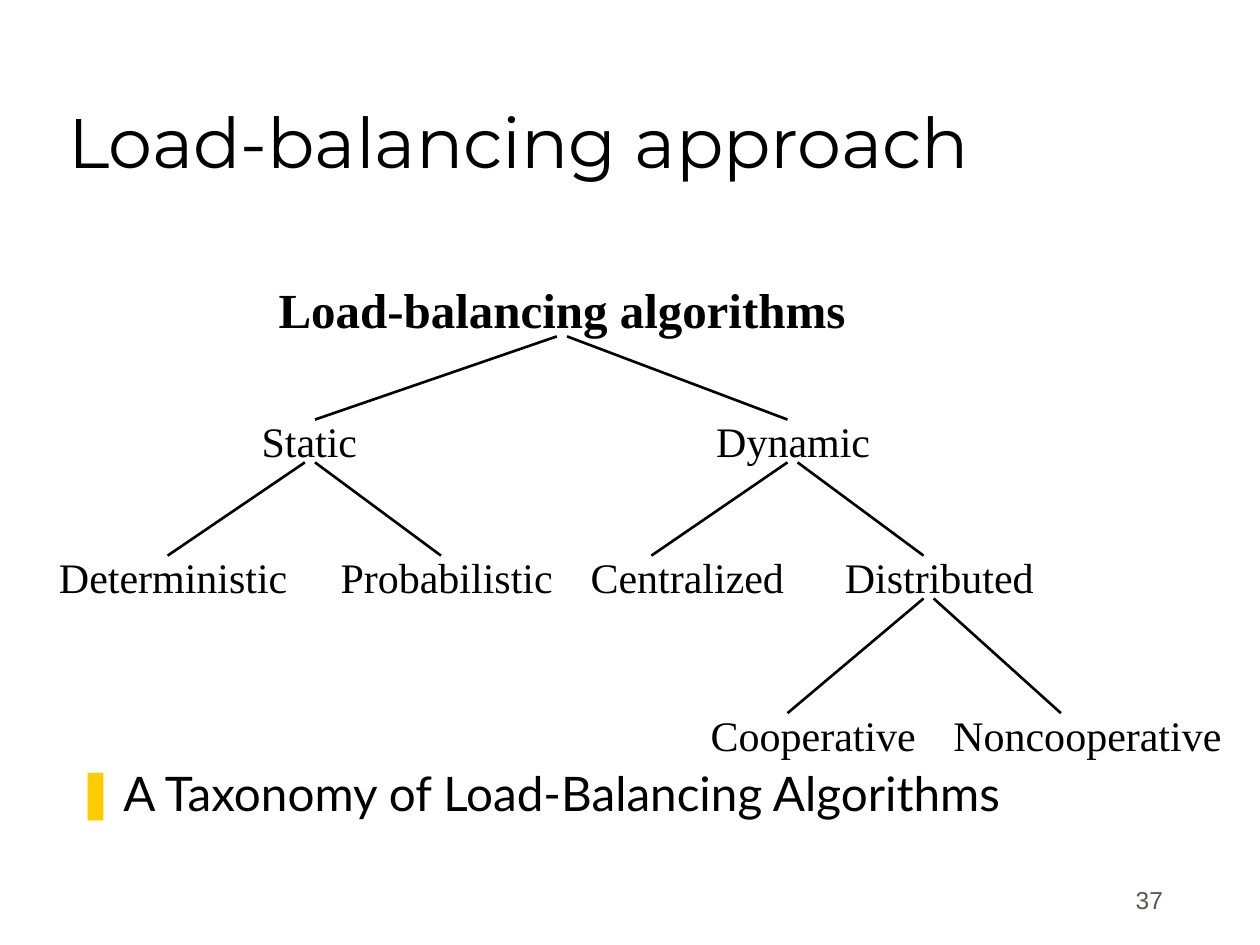
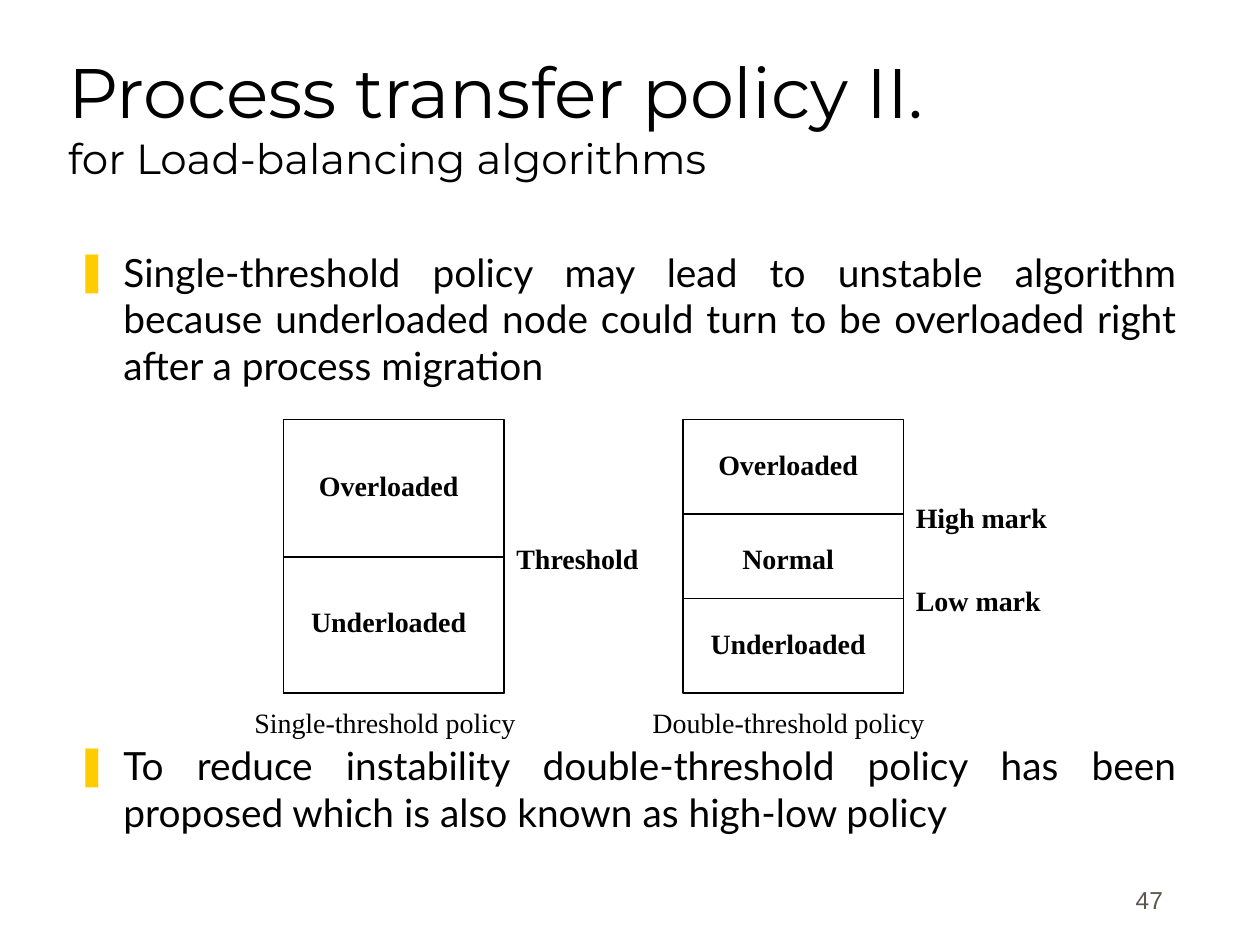
from lxml import etree
from pptx import Presentation
from pptx.dml.color import RGBColor
from pptx.enum import shapes as kinds, text as t
from pptx.oxml import ns
from pptx.util import Inches, Pt

COLORS = {"text": "000000", "bullet": "FFCC00", "number": "5E574E"}
FONTS = {"title": "Montserrat", "body": "Lato", "diagram": "Times New Roman", "number": "Arial"}
TITLE_BOX = (0.44, 0.25, 8.5, 1.25)
NUMBER_BOX = (7.36, 6.81, 2.08, 0.5)
BULLET_INDENT = 0.38

TAXONOMY = {
    "title": [("Load-balancing approach", 40)],
    "number": "37",
    "body": ["A Taxonomy of Load-Balancing Algorithms"],
    "body_box": (0.5, 2.06, 8.94, 4.56),
    "body_size": 27.2,
}
ROOT = ("Load-balancing algorithms", 2, 2.17, 4.92, 0.57)
# name, left, top, width, x where its branch arrives
NODES = [
    ("Static", 1.58, 3.25, 1.75, 2.5),
    ("Dynamic", 5.42, 3.25, 1.75, 6.25),
    ("Deterministic", 0.25, 4.33, 2.25, 1.33),
    ("Probabilistic", 2.42, 4.33, 2.25, 3.5),
    ("Centralized", 4.33, 4.33, 2.25, 5.17),
    ("Distributed", 6.33, 4.33, 2.25, 7.33),
    ("Cooperative", 5.33, 5.58, 2.25, 6.25),
    ("Noncooperative", 7.42, 5.58, 2.42, 8.42),
]
# x and y of the fork, left child, right child
FORKS = [
    (4.42, 2.67, "Static", "Dynamic"),
    (2.42, 3.67, "Deterministic", "Probabilistic"),
    (6.25, 3.67, "Centralized", "Distributed"),
    (7.33, 4.75, "Cooperative", "Noncooperative"),
]
FORK_GAP = 0.08
NODE_HEIGHT = 0.5

TRANSFER = {
    "title": [("Process transfer policy II.", 40), ("for Load-balancing algorithms", 24)],
    "number": "47",
    "body": [
        "Single-threshold policy may lead to unstable algorithm because underloaded node "
        "could turn to be overloaded right after a process migration",
        "To reduce instability double-threshold policy has been proposed which is also "
        "known as high-low policy",
    ],
    "body_box": (0.5, 1.92, 8.94, 4.71),
    "body_size": 22.2,
}
DIAGRAM_GAP = 202  # points between the two bullets
FRAME_TOP, FRAME_WIDTH, FRAME_HEIGHT = 3.33, 1.75, 2.17
LABEL_HEIGHT, STATE_WIDTH, MARK_WIDTH = 0.37, 1.67, 1.25
CAPTION_TOP = 5.55
POLICIES = [
    {
        "left": 2.25,
        "band": (4.42, 1.08),
        "states": [("Overloaded", 3.67), ("Underloaded", 4.75)],
        "marks": [("Threshold", 4.25)],
        "caption": ("Single-threshold policy", 1.92, 2.83),
    },
    {
        "left": 5.42,
        "band": (4.08, 0.67),
        "states": [("Overloaded", 3.5), ("Normal", 4.25), ("Underloaded", 4.92)],
        "marks": [("High mark", 3.92), ("Low mark", 4.58)],
        "caption": ("Double-threshold policy", 5.08, 2.92),
    },
]


def inches(box):
    return [Inches(length) for length in box]


def color(name):
    return RGBColor.from_string(COLORS[name])


def format_paragraph(paragraph, role, size, align, bold=False, color_name="text"):
    paragraph.alignment = align
    paragraph.space_before = Pt(0)
    for run in paragraph.runs:
        run.font.name = FONTS[role]
        run.font.size = Pt(size)
        run.font.bold = bold
        run.font.color.rgb = color(color_name)


def place(placeholder, box, anchor):
    placeholder.left, placeholder.top, placeholder.width, placeholder.height = inches(box)
    frame = placeholder.text_frame
    frame.auto_size = t.MSO_AUTO_SIZE.NONE
    frame.vertical_anchor = anchor
    return frame


def add_label(shapes, words, box, size, align=t.PP_ALIGN.CENTER, role="diagram", **style):
    frame = shapes.add_textbox(*inches(box)).text_frame
    frame.word_wrap = True
    frame.text = words
    format_paragraph(frame.paragraphs[0], role, size, align, **style)
    return frame


def add_bullet(paragraph):
    properties = paragraph._p.get_or_add_pPr()
    properties.set("marL", str(Inches(BULLET_INDENT)))
    properties.set("indent", str(-Inches(BULLET_INDENT)))
    bullet_color = etree.SubElement(properties, ns.qn("a:buClr"))
    etree.SubElement(bullet_color, ns.qn("a:srgbClr"), val=COLORS["bullet"])
    etree.SubElement(properties, ns.qn("a:buChar"), char="❚")


def add_slide(presentation, content, body_anchor, body_align):
    """Add a slide with its title, bullets and number; return it and the body frame."""
    slide = presentation.slides.add_slide(presentation.slide_layouts[1])
    title = place(slide.shapes.title, TITLE_BOX, t.MSO_ANCHOR.BOTTOM)
    title.text = "\n".join(line for line, size in content["title"])
    for paragraph, (line, size) in zip(title.paragraphs, content["title"]):
        format_paragraph(paragraph, "title", size, t.PP_ALIGN.LEFT)

    body = place(slide.placeholders[1], content["body_box"], body_anchor)
    body.text = "\n".join(content["body"])
    for paragraph in body.paragraphs:
        format_paragraph(paragraph, "body", content["body_size"], body_align)
        add_bullet(paragraph)

    number = add_label(slide.shapes, content["number"], NUMBER_BOX, 14, t.PP_ALIGN.RIGHT,
                       "number", color_name="number")
    number.vertical_anchor = t.MSO_ANCHOR.BOTTOM
    number.margin_right = Inches(0.21)
    return slide, body


def add_branch(shapes, start, end):
    branch = shapes.add_connector(kinds.MSO_CONNECTOR.STRAIGHT, *inches(start + end))
    branch.line.color.rgb = color("text")
    branch.line.width = Pt(1.5)
    etree.SubElement(branch._element.spPr, ns.qn("a:effectLst"))


def add_outline(shapes, box):
    outline = shapes.add_shape(kinds.MSO_SHAPE.RECTANGLE, *inches(box))
    outline.shadow.inherit = False
    outline.fill.background()
    outline.line.color.rgb = color("text")
    outline.line.width = Pt(0.75)


def build_taxonomy(presentation):
    slide, body = add_slide(presentation, TAXONOMY, t.MSO_ANCHOR.BOTTOM, t.PP_ALIGN.LEFT)
    body.margin_bottom = Inches(0.1)
    tree = slide.shapes.add_group_shape().shapes
    add_label(tree, ROOT[0], ROOT[1:], 28, bold=True)
    arrivals = {}
    for name, left, top, width, arrival in NODES:
        add_label(tree, name, (left, top, width, NODE_HEIGHT), 24)
        arrivals[name] = (arrival, top + FORK_GAP)
    for x, y, *children in FORKS:
        for index, child in enumerate(children):
            add_branch(tree, arrivals[child], (x + index * FORK_GAP, y))


def build_transfer(presentation):
    slide, body = add_slide(presentation, TRANSFER, t.MSO_ANCHOR.TOP, t.PP_ALIGN.JUSTIFY)
    body.paragraphs[1].space_before = Pt(DIAGRAM_GAP)
    for policy in POLICIES:
        group = slide.shapes.add_group_shape().shapes
        left = policy["left"]
        for top, height in [(FRAME_TOP, FRAME_HEIGHT), policy["band"]]:
            add_outline(group, (left, top, FRAME_WIDTH, height))
        for state, top in policy["states"]:
            add_label(group, state, (left, top, STATE_WIDTH, LABEL_HEIGHT), 16, bold=True)
        for mark, top in policy["marks"]:
            add_label(group, mark, (left + FRAME_WIDTH, top, MARK_WIDTH, LABEL_HEIGHT), 16,
                      t.PP_ALIGN.LEFT, bold=True)
        caption, caption_left, width = policy["caption"]
        add_label(group, caption, (caption_left, CAPTION_TOP, width, LABEL_HEIGHT), 16,
                  t.PP_ALIGN.LEFT)


def main():
    presentation = Presentation()
    presentation.slide_width, presentation.slide_height = Inches(10), Inches(7.5)
    build_taxonomy(presentation)
    build_transfer(presentation)
    presentation.save("out.pptx")


if __name__ == "__main__":
    main()
